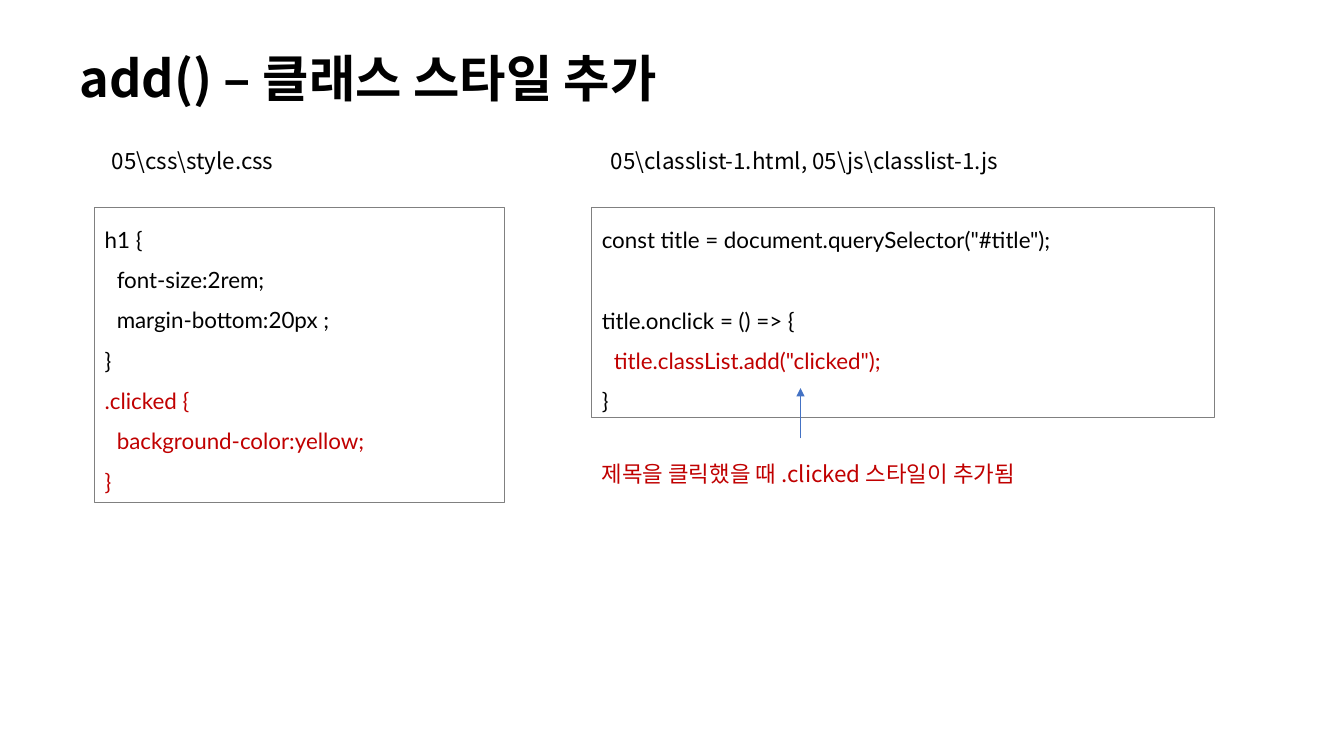
from pptx import Presentation
from pptx.dml.color import RGBColor
from pptx.enum.shapes import MSO_CONNECTOR as Connector, MSO_SHAPE as Preset
from pptx.enum.text import MSO_ANCHOR as Anchor, MSO_AUTO_SIZE as Fit, PP_ALIGN as Align
from pptx.oxml.ns import qn
from pptx.oxml.xmlchemy import OxmlElement as Element
from pptx.util import Inches, Pt

TITLE = "add() – 클래스 스타일 추가"
PLAIN, MARKED = "ink", "accent"
CSS_LINES = [
    ("h1 {", PLAIN, 0, 0),
    ("font-size:2rem;", PLAIN, 1, 0),
    ("margin-bottom:20px ;", PLAIN, 1, 0),
    ("}", PLAIN, 0, 0),
    (".clicked {", MARKED, 0, 0),
    ("background-color:yellow;", MARKED, 1, 0),
    ("}", MARKED, 0, 0),
]
JS_LINES = [
    ('const title = document.querySelector("#title");', PLAIN, 0, 0),
    ("title.onclick = () => {", PLAIN, 0, 1),
    ('title.classList.add("clicked");', MARKED, 1, 0),
    ("}", PLAIN, 0, 0),
]
CODE_BOXES = [
    (CSS_LINES, (0.94, 2.06, 4.06, 2.93)),
    (JS_LINES, (5.87, 2.06, 6.18, 2.08)),
]
LABELS = [
    ("05\\css\\style.css", PLAIN, (1.01, 1.41, 4.95, 0.37)),
    ("05\\classlist-1.html, 05\\js\\classlist-1.js", PLAIN, (5.96, 1.41, 4.95, 0.37)),
    ("제목을 클릭했을 때 .clicked 스타일이 추가됨", MARKED, (5.87, 4.52, 6.67, 0.37)),
]
ARROW = (7.94, 4.35, 7.94, 3.85)

THEME = {
    "ink": RGBColor.from_string("000000"),
    "accent": RGBColor.from_string("C00000"),
    "border": RGBColor.from_string("808080"),
    "arrow": RGBColor.from_string("4472C4"),
    "text_font": "Noto Sans CJK KR",
    "code_font": "Lato",
    "title_size": Pt(36),
    "body_size": Pt(16),
    "indent": Inches(0.12),
    "line_gap": Pt(29),
}


def set_all(target, values):
    for name, value in values.items():
        setattr(target, name, value)


def write(para, text, font, size, color, bold=False):
    span = para.add_run()
    span.text = text
    set_all(span.font, {"name": font, "size": size, "bold": bold})
    span.font.color.rgb = color
    east_asian = Element("a:ea")
    east_asian.set("typeface", font)
    span.font._element.find(qn("a:latin")).addnext(east_asian)


def add_title(page):
    box = page.shapes.title
    place = {"left": 0.69, "top": 0.35, "width": 9.74, "height": 0.92}
    set_all(box, {name: Inches(value) for name, value in place.items()})
    set_all(box.text_frame, {"vertical_anchor": Anchor.MIDDLE, "auto_size": Fit.NONE, "word_wrap": True})
    para = box.text_frame.paragraphs[0]
    set_all(para, {"alignment": Align.LEFT, "line_spacing": 0.9})
    write(para, TITLE, THEME["text_font"], THEME["title_size"], THEME["ink"], True)


def add_code(page, lines, place):
    box = page.shapes.add_shape(Preset.RECTANGLE, *map(Inches, place))
    box.shadow.inherit = False
    box.fill.background()
    box.line.color.rgb = THEME["border"]
    box.line.width = Pt(0.75)
    frame = box.text_frame
    set_all(frame, {"vertical_anchor": Anchor.TOP, "auto_size": Fit.SHAPE_TO_FIT_TEXT, "word_wrap": True})
    for number, (text, color, level, gap) in enumerate(lines):
        para = frame.add_paragraph() if number else frame.paragraphs[0]
        set_all(para, {"alignment": Align.LEFT, "line_spacing": 1.5, "space_before": gap * THEME["line_gap"]})
        para._p.get_or_add_pPr().set("marL", str(level * THEME["indent"]))
        write(para, text, THEME["code_font"], THEME["body_size"], THEME[color])


def add_label(page, text, color, place):
    frame = page.shapes.add_textbox(*map(Inches, place)).text_frame
    set_all(frame, {"word_wrap": True, "auto_size": Fit.SHAPE_TO_FIT_TEXT})
    write(frame.paragraphs[0], text, THEME["text_font"], THEME["body_size"], THEME[color])


def add_arrow(page):
    arrow = page.shapes.add_connector(Connector.STRAIGHT, *map(Inches, ARROW))
    arrow.line.color.rgb = THEME["arrow"]
    arrow.line.width = Pt(0.5)
    head = Element("a:tailEnd")
    head.set("type", "triangle")
    arrow.line._get_or_add_ln().append(head)
    arrow._element.spPr.append(Element("a:effectLst"))


def main():
    deck = Presentation()
    set_all(deck, {"slide_width": Inches(13.33), "slide_height": Inches(7.5)})
    page = deck.slides.add_slide(deck.slide_layouts[5])
    add_title(page)
    for lines, place in CODE_BOXES:
        add_code(page, lines, place)
    for text, color, place in LABELS:
        add_label(page, text, color, place)
    add_arrow(page)
    deck.save("out.pptx")


if __name__ == "__main__":
    main()
